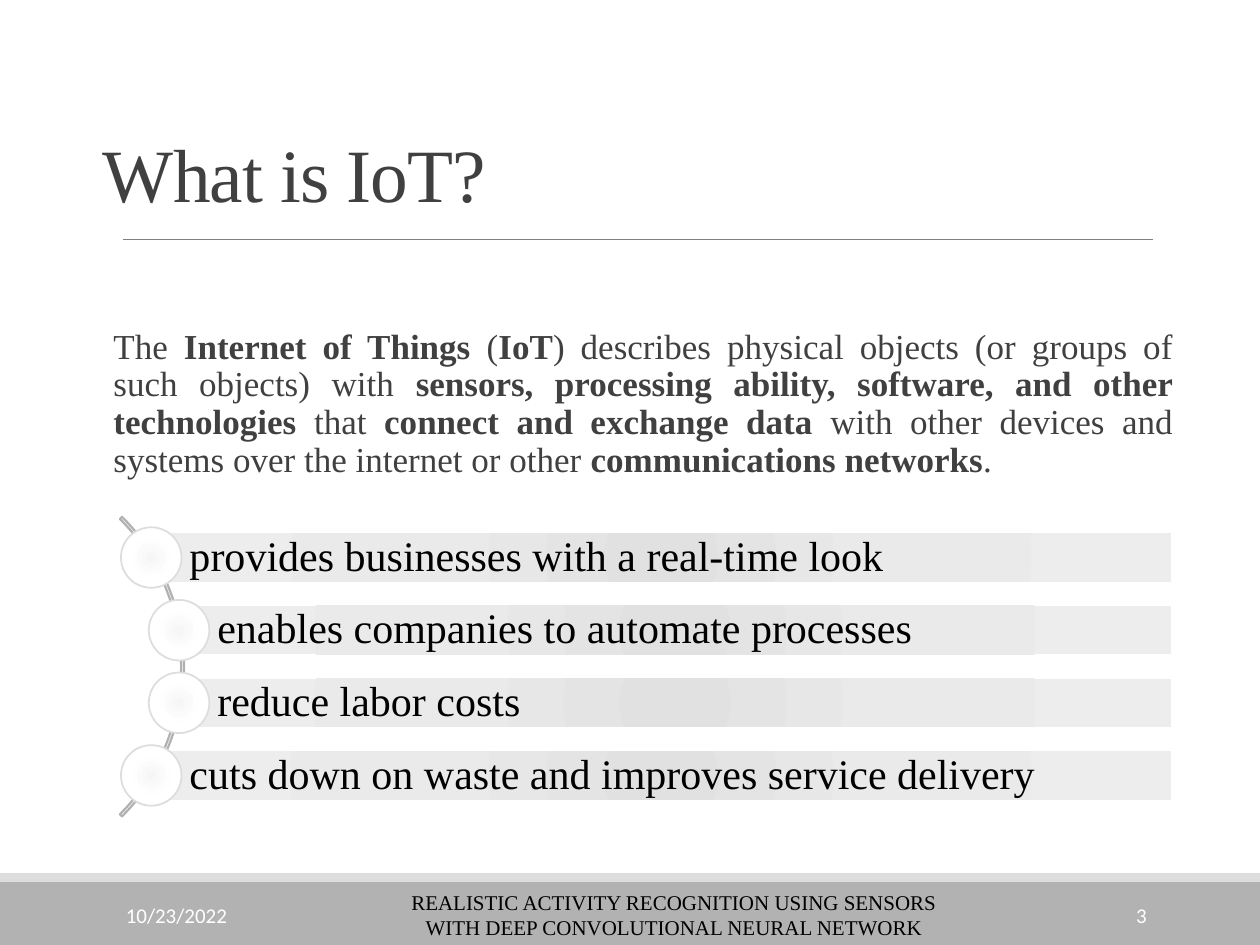
from dataclasses import dataclass

from lxml.etree import SubElement
from pptx import Presentation
from pptx.dml.color import RGBColor
from pptx.enum.shapes import MSO_CONNECTOR, MSO_SHAPE
from pptx.enum.text import MSO_ANCHOR, PP_ALIGN
from pptx.oxml.ns import qn
from pptx.util import Pt


@dataclass(frozen=True)
class Theme:
    serif: str = "Times New Roman"
    sans: str = "Calibri"
    title_size: float = 43
    body_size: float = 20
    item_size: float = 24
    footer_size: float = 12
    ink: str = "404040"
    black: str = "000000"
    white: str = "FFFFFF"
    rule: str = "808080"
    arc: str = "B1B1B1"
    footer_band: str = "B2B2B2"
    light: str = "DDDDDD"
    bar_stops: tuple = ((0, "E1E1E1"), (45, "EAEAEA"), (100, "EDEDED"))
    node_stops: tuple = ((0, "F6F6F6"), (45, "FEFEFE"), (100, "FFFFFF"))


class SlideBuilder:
    def __init__(self, slide, theme):
        self.slide = slide
        self.theme = theme

    def shape(self, kind, box, fill=None, line=None, line_width=1):
        """Add a preset shape; fill is a colour, gradient stops or None."""
        shape = self.slide.shapes.add_shape(kind, *map(Pt, box))
        shape.shadow.inherit = False
        if fill is None:
            shape.fill.background()
        elif isinstance(fill, str):
            shape.fill.solid()
            shape.fill.fore_color.rgb = RGBColor.from_string(fill)
        else:
            self.radial_fill(shape, fill)
        if line:
            shape.line.color.rgb = RGBColor.from_string(line)
            shape.line.width = Pt(line_width)
        else:
            shape.line.fill.background()
        return shape

    def radial_fill(self, shape, stops):
        shape.fill.gradient()
        gradient = shape.element.spPr.find(qn("a:gradFill"))
        for child in list(gradient):
            gradient.remove(child)
        stop_list = SubElement(gradient, qn("a:gsLst"))
        for position, color in stops:
            stop = SubElement(stop_list, qn("a:gs"), pos=str(position * 1000))
            SubElement(stop, qn("a:srgbClr"), val=color)
        circle = SubElement(gradient, qn("a:path"), path="circle")
        SubElement(circle, qn("a:fillToRect"), {side: "100000" for side in "ltrb"})

    def rule(self, left, right, y):
        line = self.slide.shapes.add_connector(
            MSO_CONNECTOR.STRAIGHT, Pt(left), Pt(y), Pt(right), Pt(y))
        line.line.color.rgb = RGBColor.from_string(self.theme.rule)
        line.line.width = Pt(0.5)
        SubElement(line.element.spPr, qn("a:effectLst"))

    def set_text(self, shape, runs, size, color, font=None, align=PP_ALIGN.LEFT,
                 anchor=MSO_ANCHOR.MIDDLE, margins=(7.2, 3.6, 7.2, 3.6), spacing=1.0):
        """Fill a shape with one paragraph of (text, bold) runs."""
        frame = shape.text_frame
        frame.word_wrap = True
        frame.vertical_anchor = anchor
        (frame.margin_left, frame.margin_top,
         frame.margin_right, frame.margin_bottom) = map(Pt, margins)
        paragraph = frame.paragraphs[0]
        paragraph.alignment = align
        paragraph.line_spacing = spacing
        for text, bold in runs:
            run = paragraph.add_run()
            run.text = text
            run.font.name = font or self.theme.serif
            run.font.size = Pt(size)
            run.font.bold = bold
            run.font.color.rgb = RGBColor.from_string(color)
        return paragraph

    def text(self, box, runs, size, color, **style):
        shape = self.slide.shapes.add_textbox(*map(Pt, box))
        return self.set_text(shape, runs, size, color, **style)

    def title(self, box, text):
        paragraph = self.text(box, [(text, False)], self.theme.title_size,
                              self.theme.ink, anchor=MSO_ANCHOR.BOTTOM, spacing=0.85)
        paragraph.runs[0].font._element.set("spc", "-50")

    def footer(self, left, width, text, color, **style):
        self.text((left, 508.3, width, 28.8), [(text, False)],
                  self.theme.footer_size, color, **style)

    def arc(self, box):
        arc = self.shape(MSO_SHAPE.BLOCK_ARC, box, line=self.theme.arc, line_width=1.25)
        for index, value in enumerate((189, 27, 0.007)):
            arc.adjustments[index] = value

    def list_item(self, center_x, center_y, text):
        """Add a bar that starts at the centre of its round node."""
        bar_right, bar_height, node = 669.2, 27.7, 34.6
        bar = self.shape(
            MSO_SHAPE.RECTANGLE,
            (center_x, center_y - bar_height / 2, bar_right - center_x, bar_height),
            self.theme.bar_stops)
        self.set_text(bar, [(text, False)], self.theme.item_size, self.theme.black,
                      margins=(21.9, 4.8, 4.8, 4.8), spacing=0.9)
        self.shape(MSO_SHAPE.OVAL,
                   (center_x - node / 2, center_y - node / 2, node, node),
                   self.theme.node_stops, self.theme.light)


DEFINITION = [
    ("The ", False), ("Internet of Things", True), (" (", False), ("IoT", True),
    (") describes physical objects (or groups of such objects) with ", False),
    ("sensors, processing ability, software, and other technologies ", True),
    ("that ", False), ("connect and exchange data", True),
    (" with other devices and systems over the internet or other ", False),
    ("communications networks", True), (".", False),
]
OUTER_X, INNER_X = 86.4, 102.3
BENEFITS = [
    (OUTER_X, "provides businesses with a real-time look"),
    (INNER_X, "enables companies to automate processes"),
    (INNER_X, "reduce labor costs"),
    (OUTER_X, "cuts down on waste and improves service delivery"),
]
FIRST_ROW_Y, ROW_PITCH = 318.6, 41.5


def main():
    presentation = Presentation()
    presentation.slide_width, presentation.slide_height = Pt(720), Pt(540)
    theme = Theme()
    slide = presentation.slides.add_slide(presentation.slide_layouts[6])
    builder = SlideBuilder(slide, theme)

    builder.shape(MSO_SHAPE.RECTANGLE, (0, 504, 720, 36), theme.footer_band)
    builder.shape(MSO_SHAPE.RECTANGLE, (0, 499, 720, 5), theme.light)
    builder.rule(70.4, 659, 136.8)

    builder.title((51.8, 60.5, 648, 67.7), "What is IoT?")
    builder.text((64.8, 144, 605.5, 335.5), DEFINITION, theme.body_size, theme.ink,
                 align=PP_ALIGN.JUSTIFY, anchor=MSO_ANCHOR.TOP,
                 margins=(0, 44, 0, 3.6), spacing=0.9)

    builder.footer(217.4, 335.5, "REALISTIC ACTIVITY RECOGNITION USING SENSORS "
                   "WITH DEEP CONVOLUTIONAL NEURAL NETWORK",
                   theme.black, align=PP_ALIGN.CENTER)
    builder.footer(584.6, 77.8, "3", theme.white, font=theme.sans, align=PP_ALIGN.RIGHT)
    builder.footer(64.8, 146.2, "10/23/2022", theme.white, font=theme.sans)

    builder.arc((-136.8, 259.9, 242, 242))
    for row, (center_x, text) in enumerate(BENEFITS):
        builder.list_item(center_x, FIRST_ROW_Y + row * ROW_PITCH, text)

    presentation.save("out.pptx")


if __name__ == "__main__":
    main()
